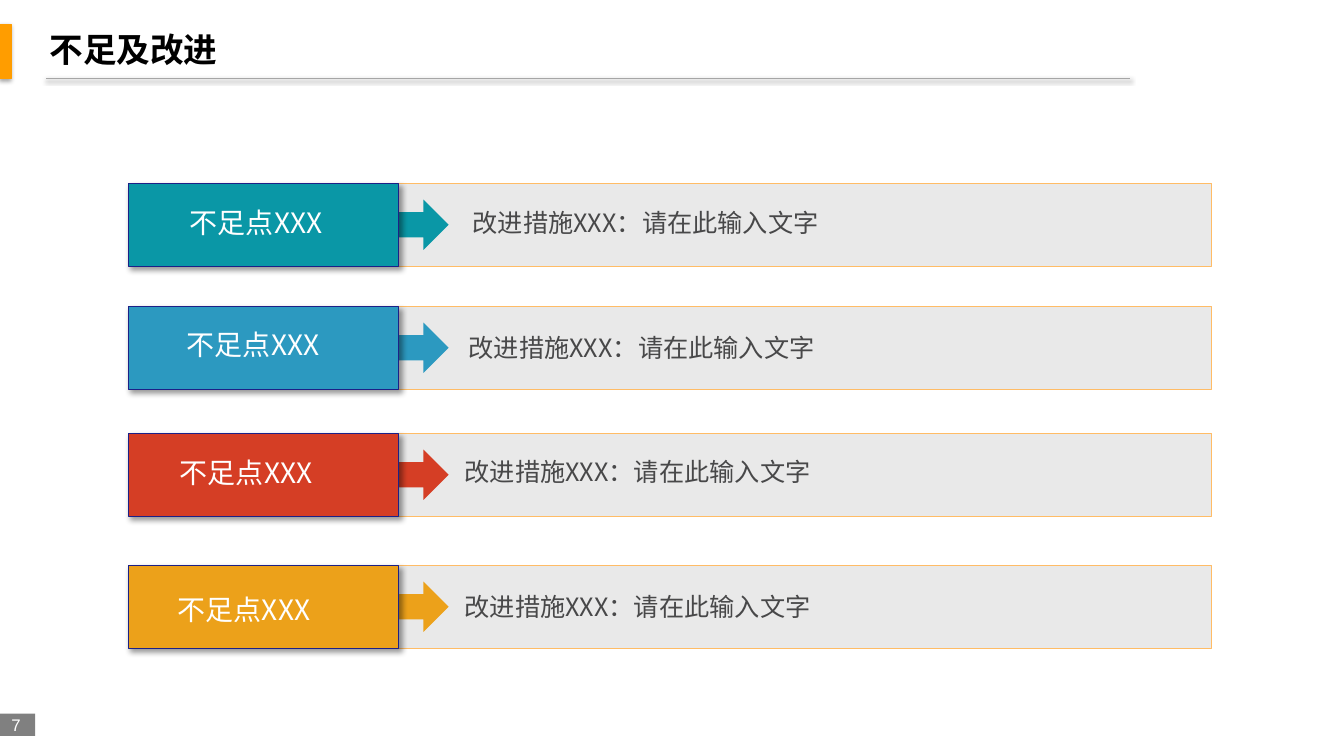
from lxml import etree
from pptx import Presentation
from pptx.dml.color import RGBColor
from pptx.enum.shapes import MSO_CONNECTOR, MSO_SHAPE
from pptx.enum.text import MSO_ANCHOR, PP_ALIGN
from pptx.oxml import parse_xml
from pptx.oxml.ns import nsdecls, qn
from pptx.util import Pt

PX = 9144  # 100 px to the inch
WHITE = RGBColor(0xFF, 0xFF, 0xFF)
BLACK = RGBColor(0, 0, 0)
GREY = RGBColor(0x80, 0x80, 0x80)
RULE = RGBColor(0xA6, 0xA6, 0xA6)
ORANGE = RGBColor(0xFF, 0x9D, 0x00)
PANEL = RGBColor(0xE9, 0xE9, 0xE9)
PANEL_LINE = RGBColor(0xFF, 0xBC, 0x66)
NAVY = RGBColor(0x1C, 0x20, 0x87)
INK = RGBColor(0x48, 0x48, 0x49)
TEAL = RGBColor(0x0A, 0x97, 0xA6)
BLUE = RGBColor(0x2C, 0x99, 0xC0)
RED = RGBColor(0xD5, 0x3E, 0x25)
AMBER = RGBColor(0xEC, 0xA1, 0x1A)
CJK = "Noto Sans CJK SC"


def add_box(kind, box, fill, line=None, shadow=None):
    """Add a filled shape, or a connector if kind is None.

    shadow is (alpha %, blur pt, distance pt, degrees).
    """
    x, y, w, h = [v * PX for v in box]
    if kind is None:
        sp = s.shapes.add_connector(MSO_CONNECTOR.STRAIGHT, x, y, x + w, y + h)
    else:
        sp = s.shapes.add_shape(kind, x, y, w, h)
        sp.fill.solid()
        sp.fill.fore_color.rgb = fill
    if line is None:
        sp.line.fill.background()
    else:
        sp.line.color.rgb = line
        sp.line.width = Pt(0.75)
    effects = ""
    if shadow:
        alpha, blur, dist, angle = shadow
        effects = (f'<a:outerShdw blurRad="{Pt(blur)}" dist="{Pt(dist)}" dir="{angle * 60000}" '
                   f'algn="ctr" rotWithShape="0"><a:srgbClr val="000000">'
                   f'<a:alpha val="{alpha * 1000}"/></a:srgbClr></a:outerShdw>')
    sp._element.spPr.append(
        parse_xml(f'<a:effectLst {nsdecls("a")}>{effects}</a:effectLst>'))
    return sp


def put_text(sp, text, size, color, font=CJK, bold=False, align=PP_ALIGN.LEFT):
    tf = sp.text_frame
    tf.word_wrap = True
    tf.vertical_anchor = MSO_ANCHOR.MIDDLE
    p = tf.paragraphs[0]
    p.alignment = align
    r = p.add_run()
    r.text = text
    for name, value in {"size": Pt(size), "name": font, "bold": bold}.items():
        setattr(r.font, name, value)
    r.font.color.rgb = color
    etree.SubElement(r._r.get_or_add_rPr(), qn("a:ea")).set("typeface", CJK)
    return r


prs = Presentation()
prs.slide_width, prs.slide_height = 1333 * PX, 750 * PX
prs.element.set("firstSlideNum", "7")
s = prs.slides.add_slide(prs.slide_layouts[5])

# Header
add_box(MSO_SHAPE.RECTANGLE, (0, 24, 11, 54), ORANGE, ORANGE, (35, 3.1, 1.8, 90))
add_box(None, (46, 78, 1075, 0), None, RULE, (38, 3.1, 1.6, 90))
title = s.shapes.title
title.left, title.top, title.width, title.height = [v * PX for v in (39, 24, 1150, 50)]
put_text(title, "不足及改进", 24, BLACK, "Arial", True)

# Page number as a field
number = add_box(MSO_SHAPE.RECTANGLE, (0, 708, 35, 22), GREY)
tf = number.text_frame
for side in ("left", "top", "bottom"):
    setattr(tf, f"margin_{side}", 0)
tf.margin_right = 3 * PX
run = put_text(number, "7", 12, WHITE, "Arial", align=PP_ALIGN.CENTER)._r
field = parse_xml(f'<a:fld {nsdecls("a")} type="slidenum" '
                  'id="{B6F15528-21DE-4FAA-801E-634DDDAF4B2B}"/>')
run.addprevious(field)
field.extend(list(run))
run.getparent().remove(run)

# Rows: top, colour, left and top of the issue text, left and top of the measure text
rows = [
    (182, TEAL, (145, 199), (459, 201)),
    (304, BLUE, (142, 320), (455, 325)),
    (430, RED, (135, 447), (451, 448)),
    (561, AMBER, (133, 582), (451, 582)),
]
for top, color, issue_at, measure_at in rows:
    add_box(MSO_SHAPE.RECTANGLE, (390, top, 812, 82), PANEL, PANEL_LINE)
    add_box(MSO_SHAPE.RIGHT_ARROW, (382, top + 16, 63, 50), color)
    add_box(MSO_SHAPE.RECTANGLE, (127, top, 268, 82), color, NAVY, (40, 4, 3, 45))
    for (x, y), w, h, text, size, ink, align in (
        (issue_at, 218, 44, "不足点XXX", 20, WHITE, PP_ALIGN.CENTER),
        (measure_at, 700, 40, "改进措施XXX：请在此输入文字", 18, INK, PP_ALIGN.LEFT),
    ):
        tb = s.shapes.add_textbox(x * PX, y * PX, w * PX, h * PX)
        put_text(tb, text, size, ink, align=align)

prs.save("out.pptx")
